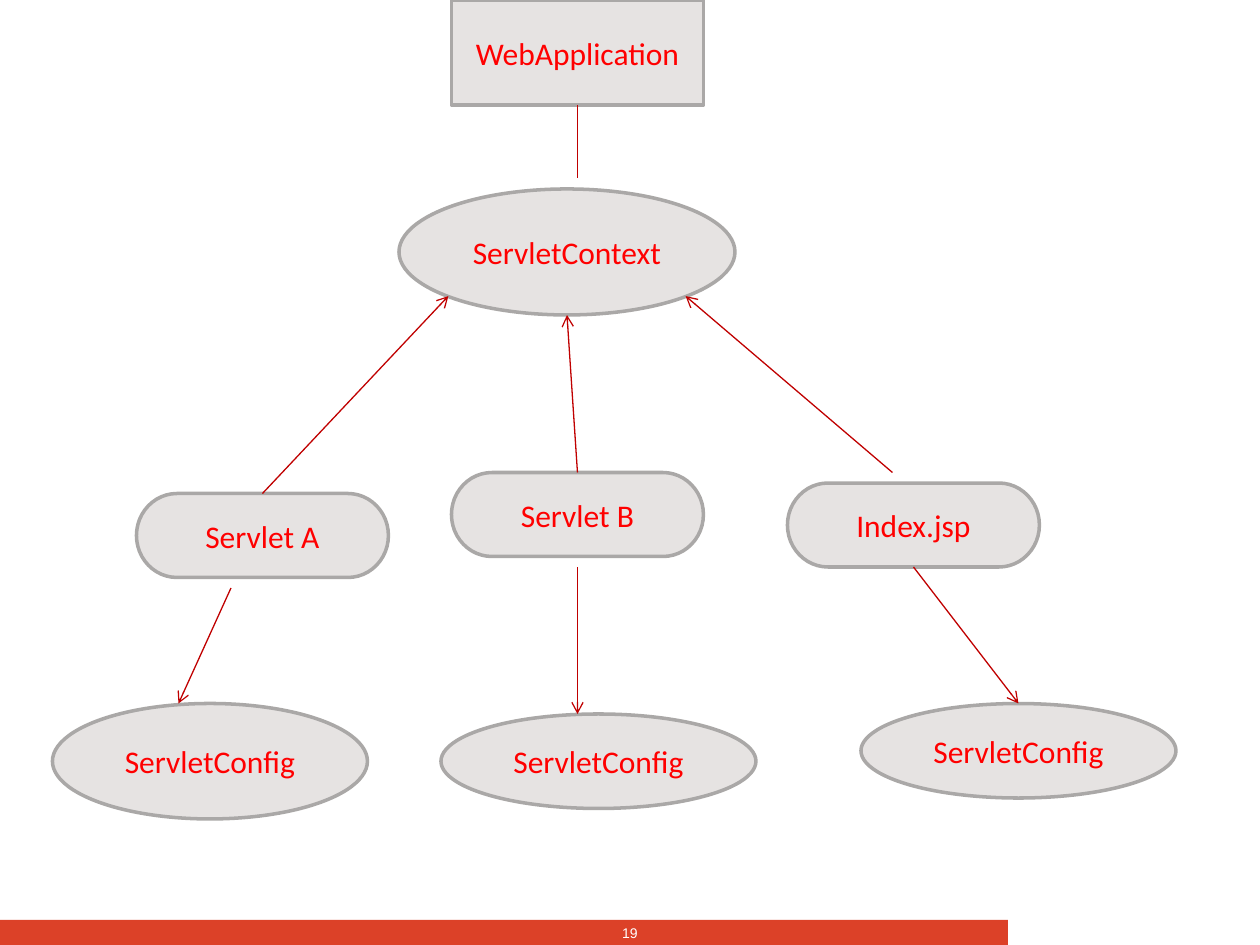
"""Builds the slide that relates a web application's servlets to their context and configs."""
from dataclasses import dataclass

from pptx import Presentation
from pptx.dml.color import RGBColor
from pptx.enum.shapes import MSO_CONNECTOR, MSO_SHAPE as Shape
from pptx.enum.text import MSO_ANCHOR, PP_ALIGN
from pptx.oxml.ns import qn
from pptx.util import Pt
from lxml.etree import SubElement

EMU_PER_PX = 7620


@dataclass(frozen=True)
class Theme:
    node_fill: str = "E6E3E2"
    node_line: str = "AAA8A7"
    node_text: str = "FF0000"
    arrow: str = "C00000"
    footer: str = "DC4128"
    page_text: str = "FFFFFF"
    node_font: str = "Calibri"
    page_font: str = "Arial"
    node_size: float = 18
    page_size: float = 8
    node_width: float = 2
    arrow_width: float = 0.75


THEME = Theme()


def px(*lengths):
    return [length * EMU_PER_PX for length in lengths]


def colour(value):
    return RGBColor.from_string(value)


def write_text(text_frame, text, font, size, text_colour):
    text_frame.text = text
    text_frame.vertical_anchor = MSO_ANCHOR.MIDDLE
    paragraph = text_frame.paragraphs[0]
    paragraph.alignment = PP_ALIGN.CENTER
    run_font = paragraph.runs[0].font
    run_font.name = font
    run_font.size = Pt(size)
    run_font.color.rgb = colour(text_colour)


def add_filled_shape(slide, kind, box, fill):
    shape = slide.shapes.add_shape(kind, *px(*box))
    shape.shadow.inherit = False
    shape.fill.solid()
    shape.fill.fore_color.rgb = colour(fill)
    return shape


def add_node(slide, kind, text, box):
    node = add_filled_shape(slide, kind, box, THEME.node_fill)
    node.line.color.rgb = colour(THEME.node_line)
    node.line.width = Pt(THEME.node_width)
    write_text(node.text_frame, text, THEME.node_font, THEME.node_size, THEME.node_text)
    return node


def add_link(slide, start, end, begin=None, finish=None, arrow=True):
    link = slide.shapes.add_connector(MSO_CONNECTOR.STRAIGHT, *px(*start, *end))
    link.line.color.rgb = colour(THEME.arrow)
    link.line.width = Pt(THEME.arrow_width)
    if arrow:
        SubElement(link.line._get_or_add_ln(), qn("a:tailEnd"), type="arrow")
    SubElement(link._element.spPr, qn("a:effectLst"))
    if begin:
        link.begin_connect(*begin)
    if finish:
        link.end_connect(*finish)


def add_footer(slide, page):
    bar = add_filled_shape(slide, Shape.RECTANGLE, (0, 876, 960, 24), THEME.footer)
    bar.line.fill.background()
    text_frame = slide.shapes.add_textbox(*px(592, 880, 16, 16)).text_frame
    text_frame.margin_left = text_frame.margin_right = 0
    text_frame.margin_top = text_frame.margin_bottom = 0
    text_frame.word_wrap = False
    write_text(text_frame, page, THEME.page_font, THEME.page_size, THEME.page_text)


def main():
    presentation = Presentation()
    presentation.slide_width, presentation.slide_height = px(1200, 900)
    slide = presentation.slides.add_slide(presentation.slide_layouts[6])
    add_footer(slide, "19")

    add_node(slide, Shape.OVAL, "ServletContext", (380, 180, 320, 120))
    servlet_a, servlet_b, index_page = [
        add_node(slide, Shape.FLOWCHART_TERMINATOR, text, (left, top, 240, 80))
        for text, left, top in (
            ("Servlet A", 130, 470), ("Servlet B", 430, 450), ("Index.jsp", 750, 460))
    ]
    config_a, index_config, config_b = [
        add_node(slide, Shape.OVAL, "ServletConfig", (left, top, 300, height))
        for left, top, height in ((50, 670, 110), (820, 670, 90), (420, 680, 90))
    ]
    application = add_node(slide, Shape.RECTANGLE, "WebApplication", (430, 0, 240, 100))

    add_link(slide, (550, 100), (550, 170), begin=(application, 2), arrow=False)
    add_link(slide, (250, 470), (427, 282), begin=(servlet_a, 0))
    add_link(slide, (550, 450), (540, 300), begin=(servlet_b, 0))
    add_link(slide, (850, 450), (653, 282))
    add_link(slide, (220, 560), (170, 670))
    add_link(slide, (550, 540), (550, 680))
    add_link(slide, (870, 540), (970, 670), begin=(index_page, 2), finish=(index_config, 0))

    presentation.save("out.pptx")


if __name__ == "__main__":
    main()
